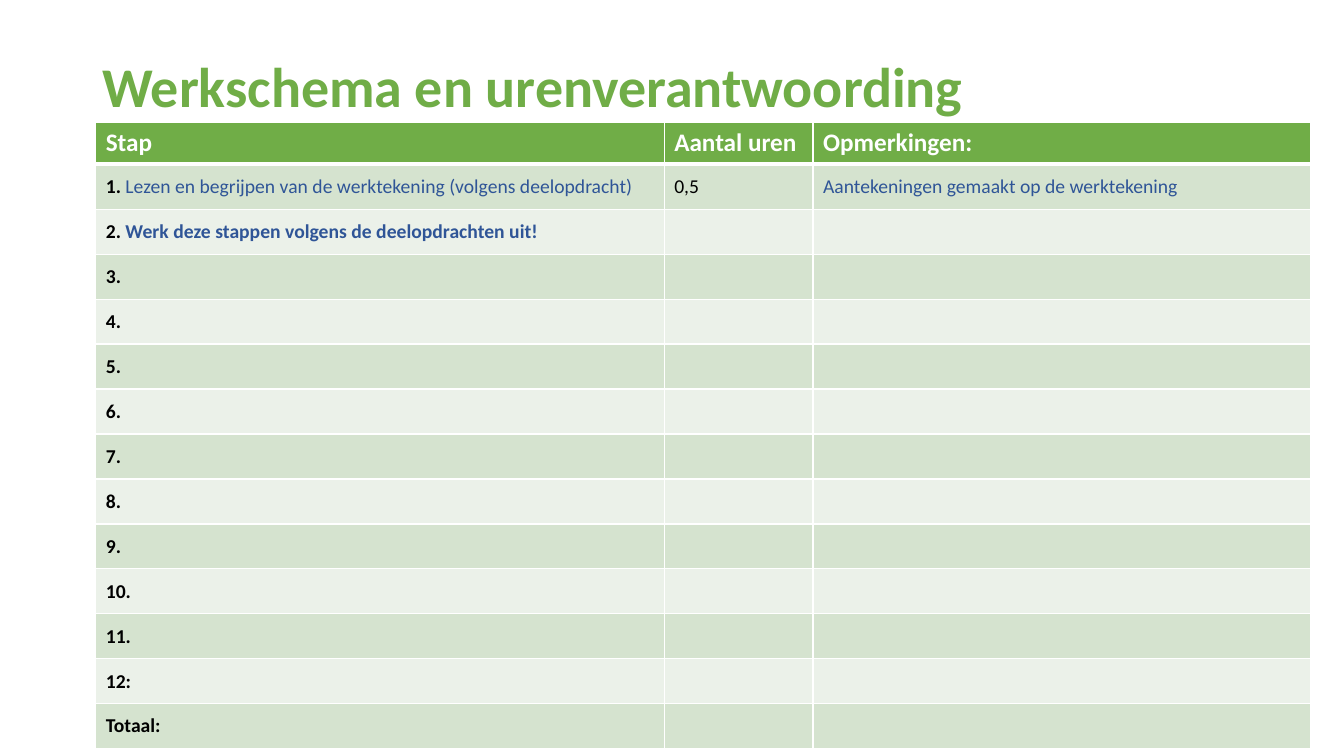
from lxml import etree
from pptx import Presentation
from pptx import util as u
from pptx.dml.color import RGBColor
from pptx.enum import text
from pptx.oxml import ns

GREEN = RGBColor(0x70, 0xAD, 0x47)
BAND_DARK = RGBColor(0xD5, 0xE3, 0xCF)
BAND_LIGHT = RGBColor(0xEB, 0xF1, 0xE9)
BLUE = RGBColor(0x2F, 0x55, 0x97)
BLACK = RGBColor(0, 0, 0)
WHITE = RGBColor(0xFF, 0xFF, 0xFF)

FONT = "Calibri"
HEADINGS = ["Stap", "Aantal uren", "Opmerkingen:"]
COLUMN_SHARES = [0.468, 0.1225, 0.4095]
HEADER_HEIGHT = 30.2
STEP_LABELS = ["1. ", "2. "] + [f"{number}." for number in range(3, 12)] + ["12:", "Totaal:"]
DETAILS = {
    (1, 0): ("Lezen en begrijpen van de werktekening (volgens deelopdracht)", BLUE, False),
    (1, 1): ("0,5", BLACK, False),
    (1, 2): ("Aantekeningen gemaakt op de werktekening", BLUE, False),
    (2, 0): ("Werk deze stappen volgens de deelopdrachten uit!", BLUE, True),
}


def add_run(paragraph, words, size, color, bold):
    """Append one formatted run to a paragraph."""
    run = paragraph.add_run()
    run.text = words
    run.font.name = FONT
    run.font.size = u.Pt(size)
    run.font.bold = bold
    run.font.color.rgb = color


def add_title(slide, left, top, width, height):
    """Place the slide title, vertically centred in its box."""
    box = slide.shapes.add_textbox(u.Pt(left), u.Pt(top), u.Pt(width), u.Pt(height))
    frame = box.text_frame
    frame.word_wrap = True
    frame.vertical_anchor = text.MSO_ANCHOR.MIDDLE
    paragraph = frame.paragraphs[0]
    paragraph.line_spacing = 0.9
    add_run(paragraph, "Werkschema en urenverantwoording", 40, GREEN, True)


def style_cell(cell, fill, top_line, bottom_line):
    """Give a cell white borders, a fill and centred anchoring."""
    cell.vertical_anchor = text.MSO_ANCHOR.MIDDLE
    properties = cell._tc.get_or_add_tcPr()
    for side, points in (("L", 1), ("R", 1), ("T", top_line), ("B", bottom_line)):
        line = etree.SubElement(properties, ns.qn(f"a:ln{side}"), w=str(u.Pt(points)))
        solid = etree.SubElement(line, ns.qn("a:solidFill"))
        etree.SubElement(solid, ns.qn("a:srgbClr"), val=str(WHITE))
    cell.fill.solid()
    cell.fill.fore_color.rgb = fill


def add_work_table(slide, left, top, width, height):
    """Place the table of steps, hours and remarks."""
    frame = slide.shapes.add_table(
        len(STEP_LABELS) + 1, len(HEADINGS), u.Pt(left), u.Pt(top), u.Pt(width), u.Pt(height))
    table = frame.table
    for column, share in zip(table.columns, COLUMN_SHARES):
        column.width = u.Pt(width * share)
    step_height = (height - HEADER_HEIGHT) / len(STEP_LABELS)
    for row_index, row in enumerate(table.rows):
        row.height = u.Pt(step_height if row_index else HEADER_HEIGHT)
        band = BAND_DARK if row_index % 2 else BAND_LIGHT
        for column_index, cell in enumerate(row.cells):
            paragraph = cell.text_frame.paragraphs[0]
            if row_index == 0:
                style_cell(cell, GREEN, 1, 3)
                add_run(paragraph, HEADINGS[column_index], 18, WHITE, True)
                continue
            style_cell(cell, band, 3 if row_index == 1 else 1, 1)
            if column_index == 0:
                add_run(paragraph, STEP_LABELS[row_index - 1], 14, BLACK, True)
            if (row_index, column_index) in DETAILS:
                words, color, bold = DETAILS[row_index, column_index]
                add_run(paragraph, words, 14, color, bold)


def main():
    """Build and save the presentation."""
    presentation = Presentation()
    presentation.slide_width, presentation.slide_height = u.Pt(960), u.Pt(540)
    slide = presentation.slides.add_slide(presentation.slide_layouts[6])
    add_title(slide, 66, 11.5, 828, 104.4)
    add_work_table(slide, 68.4, 87.1, 867.6, 447.8)
    presentation.save("out.pptx")


if __name__ == "__main__":
    main()
